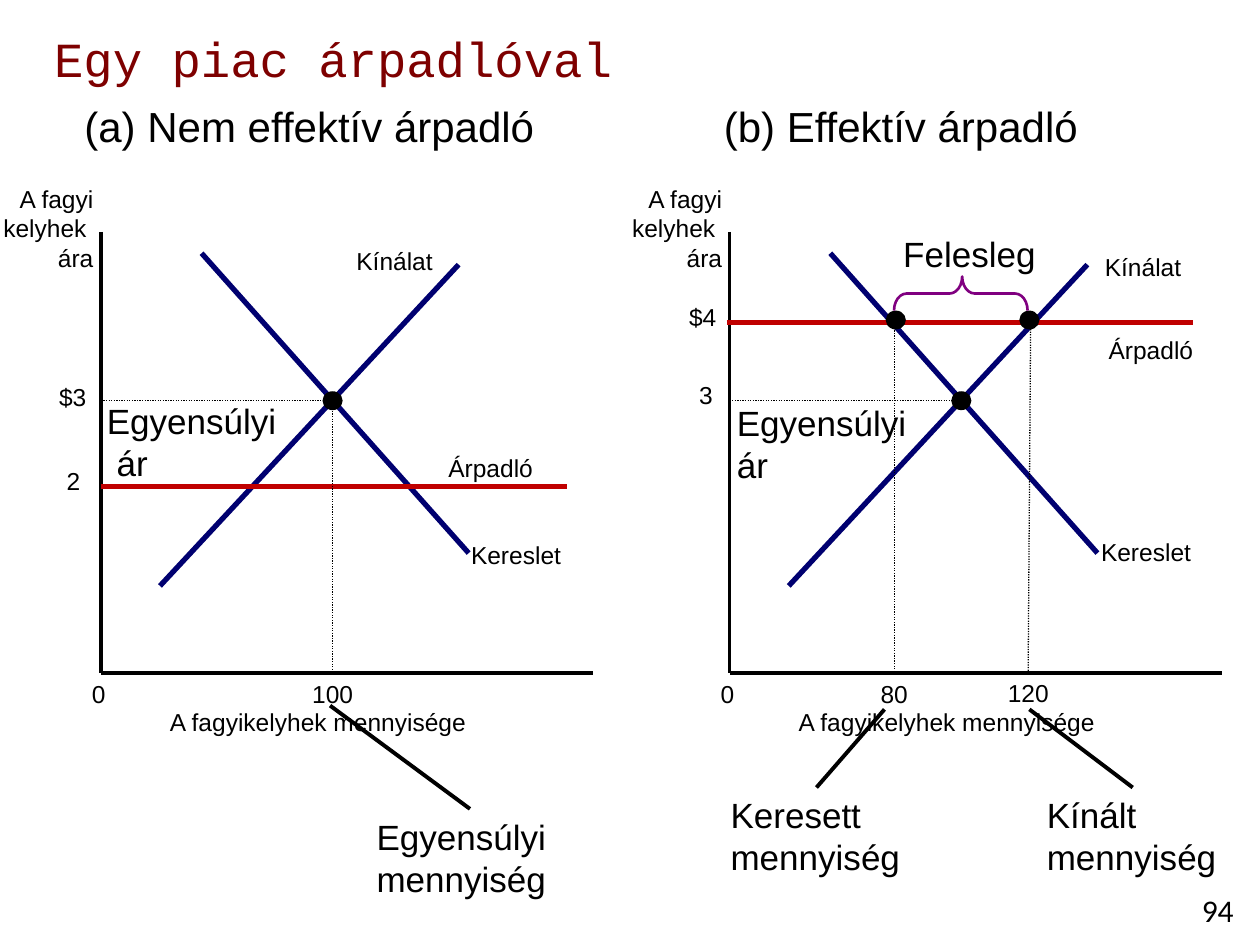
"""Build a slide comparing a non-binding and a binding price floor."""
from dataclasses import dataclass

from lxml.etree import SubElement
from pptx import Presentation
from pptx.dml.color import RGBColor
from pptx.enum.dml import MSO_LINE_DASH_STYLE as Dash
from pptx.enum.shapes import MSO_CONNECTOR as Connector, MSO_SHAPE as Shape
from pptx.enum.text import MSO_ANCHOR as Anchor, PP_ALIGN as Align
from pptx.oxml.ns import qn
from pptx.util import Inches, Pt


@dataclass(frozen=True)
class Theme:
    black: str = "000000"
    white: str = "FFFFFF"
    title: str = "7E0000"
    curve: str = "000070"
    floor: str = "C00000"
    brace: str = "800080"
    font: str = "Arial"
    title_font: str = "Courier New"
    number_font: str = "Calibri"
    title_size: int = 28
    heading_size: int = 24
    note_size: int = 20
    number_size: int = 18
    label_size: int = 14


THEME = Theme()
WIDTH, HEIGHT = 10, 7.5
PANEL_SHIFTS = (0, 4.99)
AXIS_X, AXIS_TOP, AXIS_Y = 0.8, 1.84, 5.34
EQUILIBRIUM = (2.64, 3.18)
FLOOR_LENGTH = 3.7
LABEL_HEIGHT, NOTE_HEIGHT = 0.34, 0.77
DOT = (0.16, 0.15)

TITLE = "Egy piac árpadlóval"
PAGE_NUMBER = "94"
HEADINGS = [
    ("(a) Nem effektív árpadló", 0.55, 3.81),
    ("(b) Effektív árpadló", 5.63, 3.04),
]
PRICE_AXIS = "A fagyi\nkelyhek \nára"
CURVES = [((1.6, 2.01), (3.72, 4.39)), ((1.27, 4.65), (3.64, 2.1))]
PANEL_LABELS = [
    ("A fagyikelyhek mennyisége", 1.25, 5.56, 2.56),
    ("0", 0.63, 5.34, 0.31),
]
FLOORS = [(0.8, 3.86), (5.77, 2.56)]
GUIDES = [
    ((2.64, 3.22), (2.64, AXIS_Y)),
    ((7.1, 2.56), (7.1, AXIS_Y)),
    ((8.18, 2.55), (8.16, AXIS_Y)),
]
SURPLUS_DOTS = [(7.11, 2.54), (8.17, 2.54)]
LABELS = [
    ("Kereslet", 3.64, 4.24, 0.94),
    ("100", 2.38, 5.34, 0.53),
    ("$3", 0.37, 2.98, 0.42),
    ("Kínálat", 2.73, 1.9, 0.81),
    ("2", 0.43, 3.65, 0.31),
    ("Árpadló", 3.46, 3.55, 0.88),
    ("Kereslet", 8.64, 4.21, 0.94),
    ("3", 5.45, 2.97, 0.31),
    ("Kínálat", 8.67, 1.95, 0.81),
    ("$4", 5.37, 2.35, 0.42),
    ("Árpadló", 8.7, 2.61, 0.88),
    ("80", 6.89, 5.34, 0.42),
    ("120", 7.9, 5.33, 0.53),
]
NOTES = [
    ("Egyensúlyi\n ár", 0.75, 3.12, 1.56),
    ("Egyensúlyi\nmennyiség", 2.89, 6.42, 1.64),
    ("Egyensúlyi ár", 5.75, 3.14, 1.7),
    ("Kínált\nmennyiség", 8.21, 6.25, 1.56),
    ("Keresett\nmennyiség", 5.7, 6.25, 1.56),
    ("Felesleg", 7.07, 1.8, 1.36),
]
POINTERS = [
    ((3.73, 6.42), (2.62, 5.6)),
    ((8.99, 6.25), (8.17, 5.63)),
    ((6.48, 6.25), (7.02, 5.63)),
]


def color(value):
    return RGBColor.from_string(value)


def write(frame, text, size=THEME.label_size, font=THEME.font,
          fill=THEME.black, align=Align.LEFT, wrap=True):
    frame.word_wrap = wrap
    for index, line in enumerate(text.split("\n")):
        para = frame.paragraphs[0] if index == 0 else frame.add_paragraph()
        para.alignment = align
        span = para.add_run()
        span.text = line
        span.font.size = Pt(size)
        span.font.name = font
        span.font.color.rgb = color(fill)


def add_text(page, text, left, top, width, height=LABEL_HEIGHT, **style):
    box = page.shapes.add_textbox(*map(Inches, (left, top, width, height)))
    write(box.text_frame, text, **style)


def add_line(page, start, end, width=2.25, stroke=THEME.black, dash=None, shift=0):
    (x1, y1), (x2, y2) = start, end
    ends = map(Inches, (x1 + shift, y1, x2 + shift, y2))
    line = page.shapes.add_connector(Connector.STRAIGHT, *ends)
    line.line.width = Pt(width)
    line.line.color.rgb = color(stroke)
    if dash:
        line.line.dash_style = dash
    SubElement(line._element.spPr, qn("a:effectLst"))


def add_guide(page, start, end, shift=0):
    add_line(page, start, end, width=0.75, dash=Dash.ROUND_DOT, shift=shift)


def add_figure(page, kind, left, top, width, height, fill=None, stroke=None, weight=1):
    figure = page.shapes.add_shape(kind, *map(Inches, (left, top, width, height)))
    figure.shadow.inherit = False
    if fill:
        figure.fill.solid()
        figure.fill.fore_color.rgb = color(fill)
    else:
        figure.fill.background()
    if stroke:
        figure.line.color.rgb = color(stroke)
        figure.line.width = Pt(weight)
    else:
        figure.line.fill.background()
    return figure


def add_dot(page, x, y):
    width, height = DOT
    add_figure(page, Shape.OVAL, x - width / 2, y - height / 2, width, height,
               fill=THEME.black)


def add_panel(page, shift):
    origin = (AXIS_X, AXIS_Y)
    x, y = EQUILIBRIUM
    add_figure(page, Shape.RECTANGLE, AXIS_X + shift, 1.92, 3.87, 3.42,
               fill=THEME.white, stroke=THEME.white, weight=2)
    add_line(page, (AXIS_X, AXIS_TOP), origin, shift=shift)
    add_line(page, origin, (4.71, AXIS_Y), shift=shift)
    add_text(page, PRICE_AXIS, shift - 0.08, 1.41, 0.92, 0.81,
             align=Align.RIGHT, wrap=False)
    for text, left, top, width in PANEL_LABELS:
        add_text(page, text, left + shift, top, width, wrap=False)
    add_guide(page, (AXIS_X, y), EQUILIBRIUM, shift)
    for start, end in CURVES:
        add_line(page, start, end, width=3, stroke=THEME.curve, shift=shift)
    add_dot(page, x + shift, y)


def main():
    deck = Presentation()
    deck.slide_width, deck.slide_height = Inches(WIDTH), Inches(HEIGHT)
    page = deck.slides.add_slide(deck.slide_layouts[5])
    title = page.shapes.title
    title.left, title.top, title.width, title.height = map(
        Inches, (0.33, 0.17, 9.67, 0.58))
    title.text_frame.vertical_anchor = Anchor.MIDDLE
    write(title.text_frame, TITLE, size=THEME.title_size,
          font=THEME.title_font, fill=THEME.title)
    add_text(page, PAGE_NUMBER, 9.33, 7.02, 0.67, 0.4, size=THEME.number_size,
             font=THEME.number_font, align=Align.CENTER)
    for text, left, width in HEADINGS:
        add_text(page, text, left, 0.75, width, 0.5,
                 size=THEME.heading_size, align=Align.CENTER)
    for shift in PANEL_SHIFTS:
        add_panel(page, shift)
    for x, y in FLOORS:
        add_line(page, (x, y), (x + FLOOR_LENGTH, y), width=3, stroke=THEME.floor)
    for start, end in GUIDES:
        add_guide(page, start, end)
    for x, y in SURPLUS_DOTS:
        add_dot(page, x, y)
    for text, left, top, width in LABELS:
        add_text(page, text, left, top, width, wrap=False)
    for text, left, top, width in NOTES:
        height = NOTE_HEIGHT if " " in text or "\n" in text else 0.44
        add_text(page, text, left, top, width, height, size=THEME.note_size)
    brace = add_figure(page, Shape.LEFT_BRACE, 7.49, 1.8, 0.27, 1.06,
                       stroke=THEME.brace, weight=1.5)
    brace.rotation = 90
    brace.adjustments[0], brace.adjustments[1] = 0.37, 0.49
    for start, end in POINTERS:
        add_line(page, start, end)
    deck.save("out.pptx")


if __name__ == "__main__":
    main()
